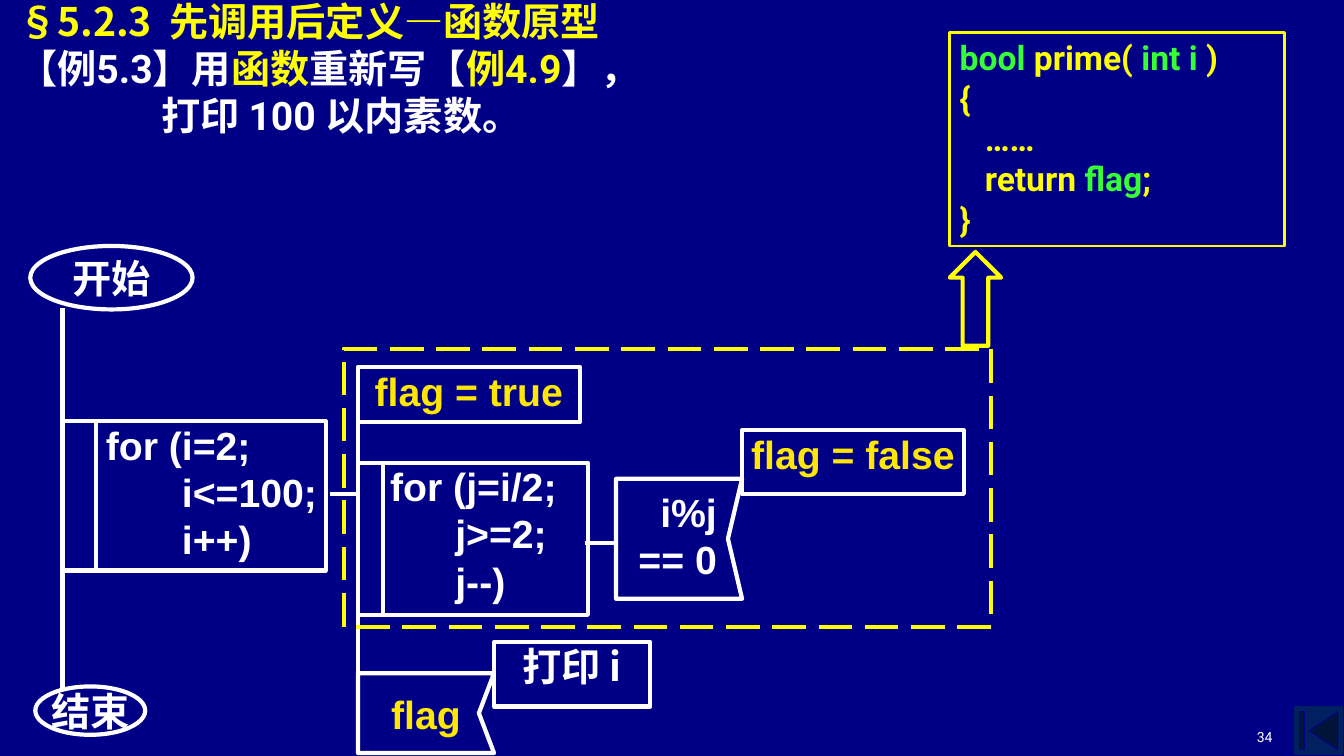
from dataclasses import dataclass

from lxml.etree import SubElement
from pptx import Presentation
from pptx.dml.color import RGBColor
from pptx.enum.dml import MSO_LINE
from pptx.enum.shapes import MSO_CONNECTOR, MSO_SHAPE
from pptx.enum.text import MSO_ANCHOR, MSO_AUTO_SIZE, PP_ALIGN
from pptx.oxml.ns import qn
from pptx.util import Inches, Pt

COLORS = {
    "background": "000086", "white": "FFFFFF", "yellow": "FFFF00",
    "gold": "FFE701", "green": "37FF37", "button": "002060",
}
CJK = "Noto Sans CJK SC"


@dataclass
class Run:
    text: str
    color: str = "white"
    font: str = "Arial"


@dataclass
class Box:
    x: float
    y: float
    w: float
    h: float
    lines: tuple = ()
    color: str = "white"
    font: str = "Arial"
    align: PP_ALIGN = PP_ALIGN.CENTER
    anchor: MSO_ANCHOR = MSO_ANCHOR.TOP
    left: float = 0
    kind: MSO_SHAPE = MSO_SHAPE.RECTANGLE


@dataclass
class Flag:
    x: float
    y: float
    h: float
    notch: float


def rgb(name: str) -> RGBColor:
    return RGBColor.from_string(COLORS[name])


def add_run(p, text: str, *, size=28, color="white", font="Arial", bold=True):
    r = p.add_run()
    r.text = text
    r.font.size, r.font.bold, r.font.name = Pt(size), bold, font
    r.font.color.rgb = rgb(color)
    SubElement(r.font._element, qn("a:ea")).set("typeface", CJK)


def fill_text(tf, lines, *, size=28, align=PP_ALIGN.LEFT, anchor=MSO_ANCHOR.TOP,
              margins=(0, 0, 0, 0), wrap=True, bold=True, spacing=None, before=0):
    """Write lines, each a tuple of runs, into a text frame."""
    tf.word_wrap, tf.vertical_anchor = wrap, anchor
    tf.auto_size = MSO_AUTO_SIZE.NONE
    (tf.margin_left, tf.margin_top,
     tf.margin_right, tf.margin_bottom) = map(Inches, margins)
    for i, runs in enumerate(lines):
        p = tf.add_paragraph() if i else tf.paragraphs[0]
        p.alignment = align
        p.space_before = Pt(before if i else 0)
        if spacing:
            p.line_spacing = spacing
        for run in runs:
            add_run(p, run.text, size=size, color=run.color, font=run.font, bold=bold)


def outline(sp, color="white", width=3.0):
    sp.shadow.inherit = False
    sp.fill.background()
    sp.line.color.rgb = rgb(color)
    sp.line.width = Pt(width)


def add_outlined(slide, kind, x, y, w, h, *, color="white", width=3.0):
    sp = slide.shapes.add_shape(kind, *map(Inches, (x, y, w, h)))
    outline(sp, color, width)
    return sp


def add_box(slide, b: Box):
    sp = add_outlined(slide, b.kind, b.x, b.y, b.w, b.h)
    lines = [(Run(text, b.color, b.font),) for text in b.lines]
    fill_text(sp.text_frame, lines, align=b.align, anchor=b.anchor,
              margins=(b.left, 0, 0, 0), wrap=False)


def add_line(slide, x1, y1, x2, y2):
    c = slide.shapes.add_connector(MSO_CONNECTOR.STRAIGHT, *map(Inches, (x1, y1, x2, y2)))
    c.line.color.rgb, c.line.width = rgb("white"), Pt(3)
    SubElement(c._element.spPr, qn("a:effectLst"))


def add_flag(slide, f: Flag):
    right, bottom = f.x + 1.25 + (0.1 if f.h < 1 else 0), f.y + f.h
    fb = slide.shapes.build_freeform(Inches(f.x), Inches(f.y))
    points = [(right, f.y), (right - f.notch, f.y + f.h / 2), (right, bottom), (f.x, bottom)]
    fb.add_line_segments([(Inches(x), Inches(y)) for x, y in points], close=True)
    outline(fb.convert_to_shape())


def add_label(slide, x, y, w, h, lines, **fmt):
    tb = slide.shapes.add_textbox(*map(Inches, (x, y, w, h)))
    fill_text(tb.text_frame, lines, **fmt)


OVAL = dict(kind=MSO_SHAPE.OVAL, anchor=MSO_ANCHOR.MIDDLE)
BOXES = [
    Box(0.3, 2.44, 1.61, 0.63, ("开始",), **OVAL),
    Box(0.35, 6.81, 1.09, 0.48, ("结束",), **OVAL),
    Box(0.62, 4.18, 2.61, 1.48, ("for (i=2;", "       i<=100;", "       i++)"),
        align=PP_ALIGN.LEFT, left=0.43),
    Box(3.55, 4.59, 2.28, 1.51, ("for (j=i/2;", "      j>=2;", "      j--)"),
        align=PP_ALIGN.LEFT, left=0.32),
    Box(3.55, 3.64, 2.2, 0.55, ("flag = true",), "gold"),
    Box(7.36, 4.27, 2.2, 0.63, ("flag = false",), "gold"),
    Box(4.9, 6.37, 1.55, 0.64, ("打印 i",), font=CJK),
]
FLAGS = [Flag(3.55, 6.68, 0.79, 0.15), Flag(6.11, 4.75, 1.19, 0.14)]
LINES = [
    (0.62, 3.06, 0.62, 6.85),  # main flow
    (3.55, 3.63, 3.55, 7.48),  # loop body flow
    (0.95, 4.19, 0.95, 5.66),  # outer loop bar
    (3.8, 4.59, 3.8, 6.1),     # inner loop bar
    (3.27, 4.9, 3.55, 4.9),
    (5.8, 5.39, 6.09, 5.39),
]


def code_run(text: str, color="yellow") -> Run:
    return Run(text, color, "Roboto")


HEADING = [
    (Run("§5.2.3\t先调用后定义—", "yellow", CJK),
     Run("函数原型", "yellow", "Times New Roman")),
    (code_run("【例5.3】用", "white"), code_run("函数"), code_run("重新写【", "white"),
     code_run("例4.9"), code_run("】，", "white")),
    (code_run("打印 100 以内素数。", "white"),),
]
PROTOTYPE = [
    (code_run("bool ", "green"), code_run("prime( "), code_run("int i ", "green"), code_run(")")),
    (code_run("{"),),
    (code_run("   ……"),),
    (code_run("   return "), code_run("flag", "green"), code_run(";")),
    (code_run("}"),),
]


def add_heading(slide):
    slide.shapes.title._element.getparent().remove(slide.shapes.title._element)
    body = slide.placeholders[1]
    body.left, body.top, body.width, body.height = map(Inches, (0.08, 0, 6.65, 1.77))
    for i in range(len(HEADING)):
        p = body.text_frame.paragraphs[0] if i == 0 else body.text_frame.add_paragraph()
        pPr = p._p.get_or_add_pPr()
        pPr.set("marL", str(Inches(1.42 if i == 2 else 0)))
        pPr.set("indent", "0")
        p.space_before = Pt(5.6 if i else 0)
        p.line_spacing = 0.83
        SubElement(pPr, qn("a:buNone"))
        if i == 0:
            tabs = SubElement(pPr, qn("a:tabLst"))
            SubElement(tabs, qn("a:tab"), pos=str(Inches(1.61)), algn="l")
        for run in HEADING[i]:
            add_run(p, run.text, color=run.color, font=run.font)
    body.text_frame.auto_size = MSO_AUTO_SIZE.NONE


def main():
    prs = Presentation()
    prs.slide_width, prs.slide_height = Inches(13.33), Inches(7.5)
    slide = prs.slides.add_slide(prs.slide_layouts[1])
    slide.background.fill.solid()
    slide.background.fill.fore_color.rgb = rgb("background")

    # Navigation button and page number
    button = add_outlined(slide, MSO_SHAPE.ACTION_BUTTON_BEGINNING, 12.83, 7, 0.5, 0.5,
                          color="background", width=0.75)
    button.fill.solid()
    button.fill.fore_color.rgb = rgb("button")
    add_label(slide, 9.61, 6.94, 3.11, 0.5, [(code_run("34", "white"),)], size=10, bold=False,
              align=PP_ALIGN.RIGHT, anchor=MSO_ANCHOR.BOTTOM, margins=(0.1, 0.05, 0.1, 0.05))

    # Flow chart
    for line in LINES:
        add_line(slide, *line)
    for box in BOXES:
        add_box(slide, box)
    for flag in FLAGS:
        add_flag(slide, flag)
    add_label(slide, 3.55, 6.85, 1.35, 0.45, [(Run("flag", "gold"),)], align=PP_ALIGN.CENTER)
    add_label(slide, 6.11, 4.84, 1.25, 0.91, [(Run("i%j"),), (Run("== 0"),)],
              align=PP_ALIGN.RIGHT, margins=(0, 0, 0.25, 0))

    # Part that moves into the function
    frame = add_outlined(slide, MSO_SHAPE.RECTANGLE, 3.41, 3.46, 6.42, 2.76, color="yellow")
    frame.line.dash_style = MSO_LINE.LONG_DASH
    proto = add_outlined(slide, MSO_SHAPE.RECTANGLE, 9.42, 0.32, 3.32, 2.12,
                         color="yellow", width=2)
    fill_text(proto.text_frame, PROTOTYPE, size=24, margins=(0.1, 0.05, 0.1, 0.05))
    add_outlined(slide, MSO_SHAPE.UP_ARROW, 9.42, 2.5, 0.51, 0.93, color="yellow")

    add_heading(slide)
    prs.save("out.pptx")


if __name__ == "__main__":
    main()
